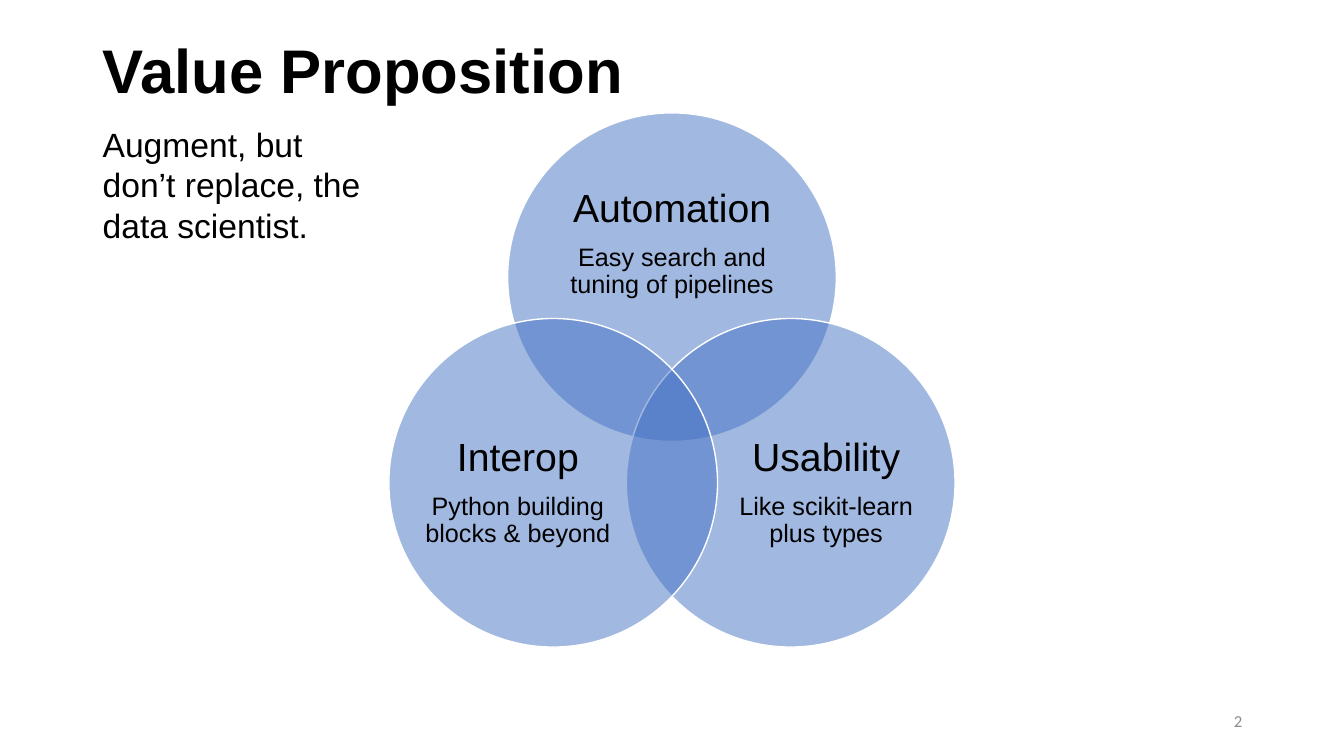
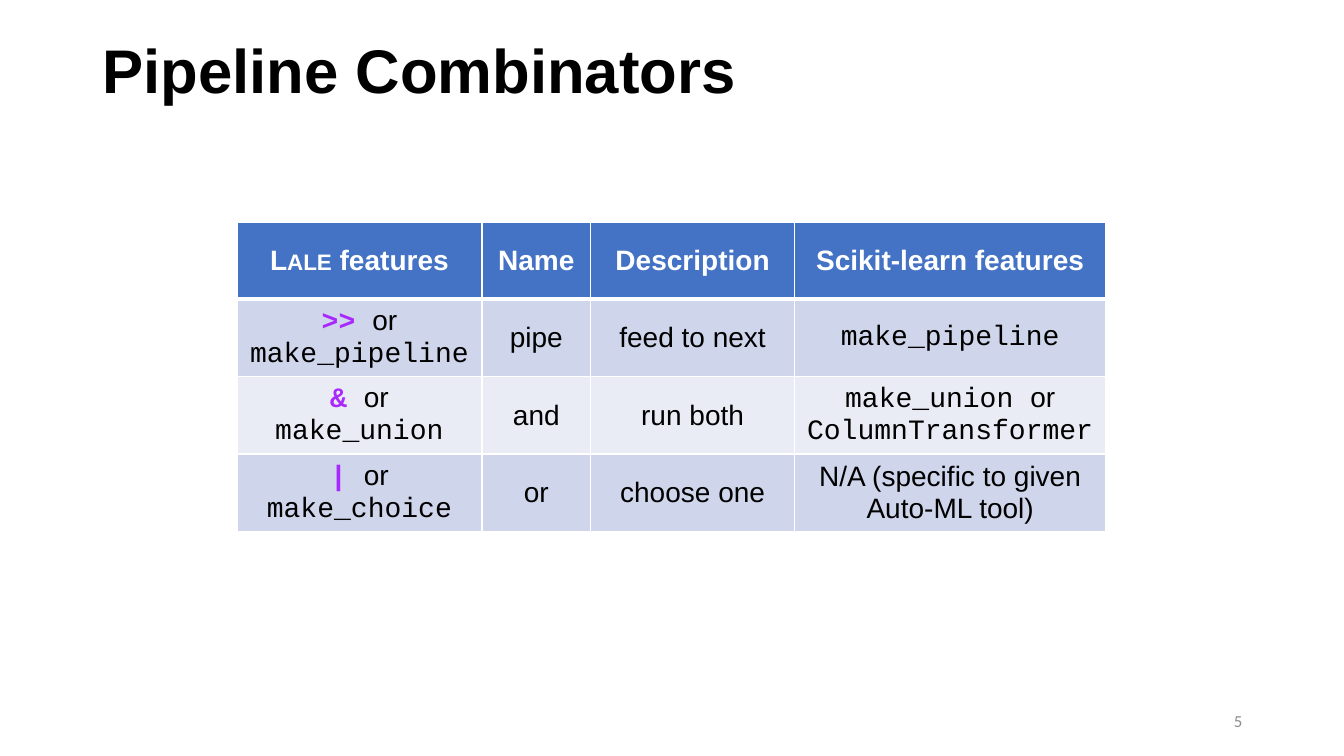
import math
from lxml import etree
from pptx import Presentation
from pptx import util as u
from pptx.dml.color import RGBColor
from pptx.enum import shapes, text
from pptx.oxml import ns

COLORS = {
    "ink": "000000", "paper": "FFFFFF", "blue": "4472C4", "number": "8C8C8C",
    "odd row": "CFD5EA", "even row": "E9EBF5", "operator": "A828FE",
}
SANS, CODE, FOOTER = "Arial", "Courier New", "Calibri"
CENTER, RIGHT = text.PP_ALIGN.CENTER, text.PP_ALIGN.RIGHT


def rgb(name):
    """Look up a named colour."""
    return RGBColor.from_string(COLORS[name])


def sub(parent, tag, **attributes):
    """Append a DrawingML child element."""
    return etree.SubElement(parent, ns.qn(tag), attributes)


def add_span(para, words, size, color="ink", font=SANS, bold=False, small_caps=False):
    """Append one formatted run to a paragraph."""
    span = para.add_run()
    span.text = words
    span.font.size = u.Pt(size)
    span.font.name = font
    span.font.bold = bold
    span.font.color.rgb = rgb(color)
    if small_caps:
        span._r.get_or_add_rPr().set("cap", "small")


def place(item, box):
    """Move an item to a (left, top, width, height) box in inches."""
    item.left, item.top, item.width, item.height = map(u.Inches, box)


def add_text_box(items, box, anchor=text.MSO_ANCHOR.TOP, inset=True):
    """Add a wrapping text box and return its frame."""
    frame = items.add_textbox(*map(u.Inches, box)).text_frame
    frame.word_wrap = True
    frame.vertical_anchor = anchor
    if not inset:
        frame.margin_left = frame.margin_right = 0
        frame.margin_top = frame.margin_bottom = 0
    return frame


def add_page(deck, title, number):
    """Add a slide with the shared title style and page number."""
    page = deck.slides.add_slide(deck.slide_layouts.get_by_name("Title Only"))
    place(page.shapes.title, (0.92, 0, 11.5, 1.45))
    frame = page.shapes.title.text_frame
    frame.auto_size = text.MSO_AUTO_SIZE.NONE
    frame.vertical_anchor = text.MSO_ANCHOR.MIDDLE
    para = frame.paragraphs[0]
    para.alignment = text.PP_ALIGN.LEFT
    para.line_spacing = 0.9
    add_span(para, title, 44, bold=True)

    footer = add_text_box(page.shapes, (9.42, 6.95, 3, 0.4), text.MSO_ANCHOR.MIDDLE)
    footer.paragraphs[0].alignment = RIGHT
    add_span(footer.paragraphs[0], number, 12, "number", FOOTER)
    return page


def add_circle(items, box):
    """Add a half-transparent circle with a white outline."""
    circle = items.add_shape(shapes.MSO_SHAPE.OVAL, *map(u.Inches, box))
    circle.shadow.inherit = False
    circle.fill.solid()
    circle.fill.fore_color.rgb = rgb("blue")
    for color in circle._element.spPr.iterfind(ns.qn("a:solidFill") + "/*"):
        sub(color, "a:alpha", val="50000")
    circle.line.color.rgb = rgb("paper")
    circle.line.width = u.Pt(1)


def add_venn(page, box, topics):
    """Fill the box with three overlapping circles, clockwise from the top."""
    left, top, width, height = box
    diameter = 3.26
    orbit = (height - diameter) / 1.5
    center_x, center_y = left + width / 2, top + diameter / 2 + orbit
    group = page.shapes.add_group_shape().shapes
    for index, (heading, detail) in enumerate(topics):
        angle = math.radians(120 * index - 90)
        x = center_x + orbit * math.cos(angle)
        y = center_y + orbit * math.sin(angle)
        add_circle(group, (x - diameter / 2, y - diameter / 2, diameter, diameter))

        # Labels sit away from the overlaps.
        label_x = x + 0.3 * math.cos(angle) / math.cos(math.pi / 6) * 1.17
        label_y, label_w, label_h = (y - 0.33, 2.39, 1.47) if index == 0 else (y + 0.1, 1.96, 1.79)
        frame = add_text_box(
            group, (label_x - label_w / 2, label_y - label_h / 2, label_w, label_h),
            text.MSO_ANCHOR.MIDDLE, inset=False)
        for para, words, size in (
                (frame.paragraphs[0], heading, 28), (frame.add_paragraph(), detail, 18)):
            para.alignment = CENTER
            para.line_spacing = 0.9
            para.space_after = u.Pt(round(0.35 * size))
            add_span(para, words, size)


def add_borders(cell, bottom=1, top=1):
    """Draw white borders around a cell, widths in points."""
    properties = cell._tc.get_or_add_tcPr()
    for side, width in (("L", 1), ("R", 1), ("T", top), ("B", bottom)):
        line = sub(properties, "a:ln" + side, w=str(u.Pt(width)))
        sub(sub(line, "a:solidFill"), "a:srgbClr", val=COLORS["paper"])


def add_feature_table(page, box, column_widths, rows):
    """Add a banded table; a cell is a list of paragraphs of (words, style) spans."""
    table = page.shapes.add_table(
        len(rows), len(column_widths), *map(u.Inches, box)).table
    for column, width in zip(table.columns, column_widths):
        column.width = u.Inches(width)
    for r, row in enumerate(rows):
        table.rows[r].height = u.Inches(box[3] / len(rows))
        fill = "blue" if r == 0 else "odd row" if r % 2 else "even row"
        for c, paragraphs in enumerate(row):
            cell = table.cell(r, c)
            cell.vertical_anchor = text.MSO_ANCHOR.MIDDLE
            add_borders(cell, bottom=3 if r == 0 else 1, top=3 if r == 1 else 1)
            cell.fill.solid()
            cell.fill.fore_color.rgb = rgb(fill)
            for p, spans in enumerate(paragraphs):
                frame = cell.text_frame
                para = frame.add_paragraph() if p else frame.paragraphs[0]
                para.alignment = CENTER
                for words, style in spans:
                    add_span(para, words, 20, **style)


def build_value_page(deck):
    """Build the value proposition slide."""
    page = add_page(deck, "Value Proposition", "2")
    add_venn(page, (3.86, 1.12, 5.61, 5.3), [
        ("Automation", "Easy search and tuning of pipelines"),
        ("Usability", "Like scikit-learn plus types"),
        ("Interop", "Python building blocks & beyond"),
    ])
    caption = add_text_box(page.shapes, (0.92, 1.18, 2.8, 1.31))
    add_span(caption.paragraphs[0], "Augment, but don’t replace, the data scientist.", 24)


def build_combinator_page(deck):
    """Build the pipeline combinators slide."""
    page = add_page(deck, "Pipeline Combinators", "5")
    plain, code = {}, {"font": CODE}
    operator = {"font": CODE, "color": "operator", "bold": True}
    header = {"color": "paper", "bold": True}

    def cell(words, style=plain):
        return [[(words, style)]]

    rows = [
        [[[("Lale", {**header, "small_caps": True}), (" features", header)]],
         *(cell(name, header) for name in ("Name", "Description", "Scikit-learn features"))],
        [[[(">> ", operator), ("or ", plain), ("make_pipeline", code)]],
         cell("pipe"), cell("feed to next"), cell("make_pipeline", code)],
        [[[("& ", operator), ("or", plain)], [("make_union", code)]],
         cell("and"), cell("run both"),
         [[("make_union ", code), ("or ", plain), ("ColumnTransformer", code)]]],
        [[[("| ", operator), ("or", plain)], [("make_choice", code)]],
         cell("or"), cell("choose one"), cell("N/A (specific to given Auto-ML tool)")],
    ]
    add_feature_table(page, (2.35, 2.21, 8.62, 3.04), (2.43, 1.08, 2.02, 3.09), rows)


deck = Presentation()
deck.slide_width, deck.slide_height = u.Inches(13.33), u.Inches(7.5)
build_value_page(deck)
build_combinator_page(deck)
deck.save("out.pptx")
